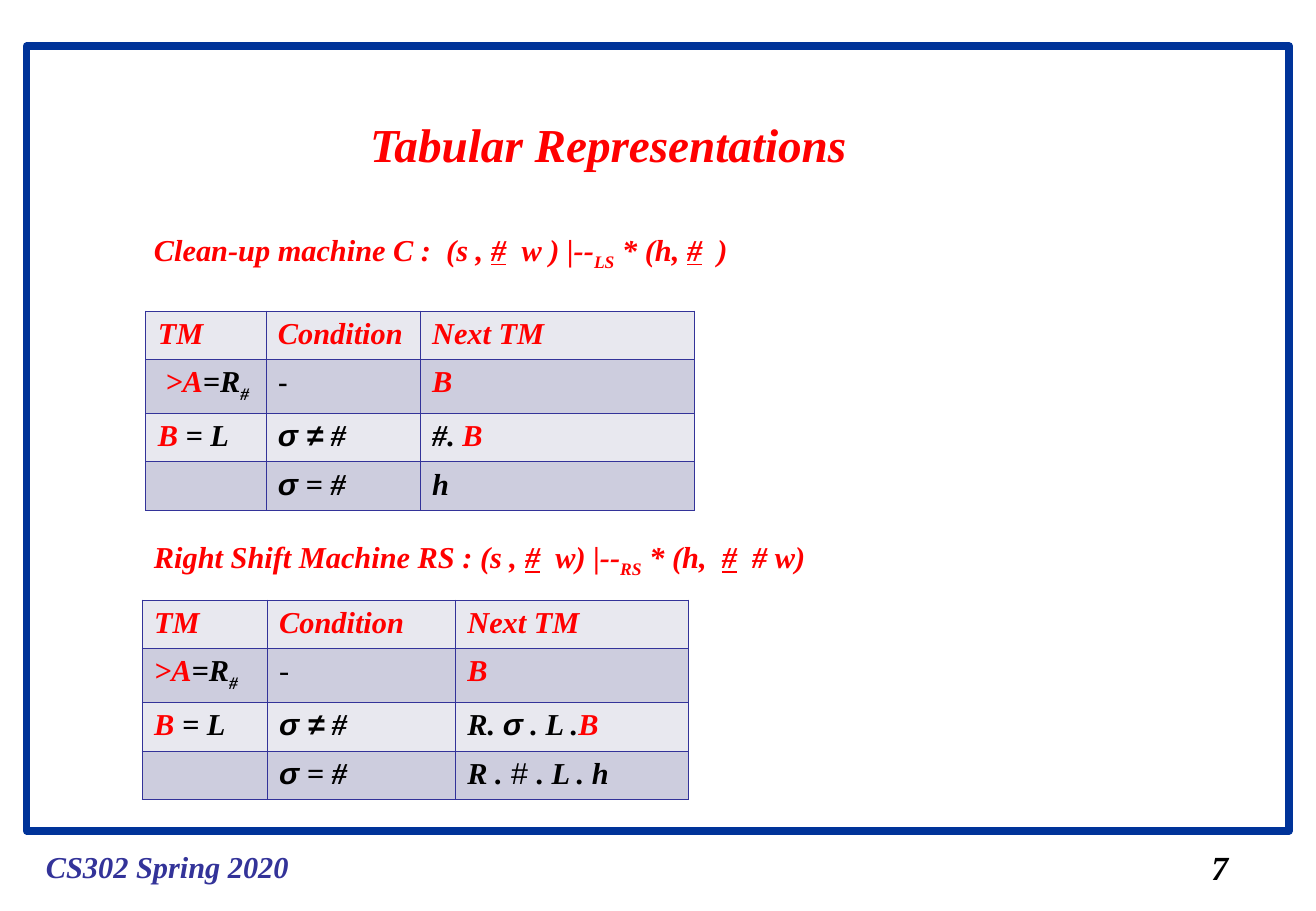
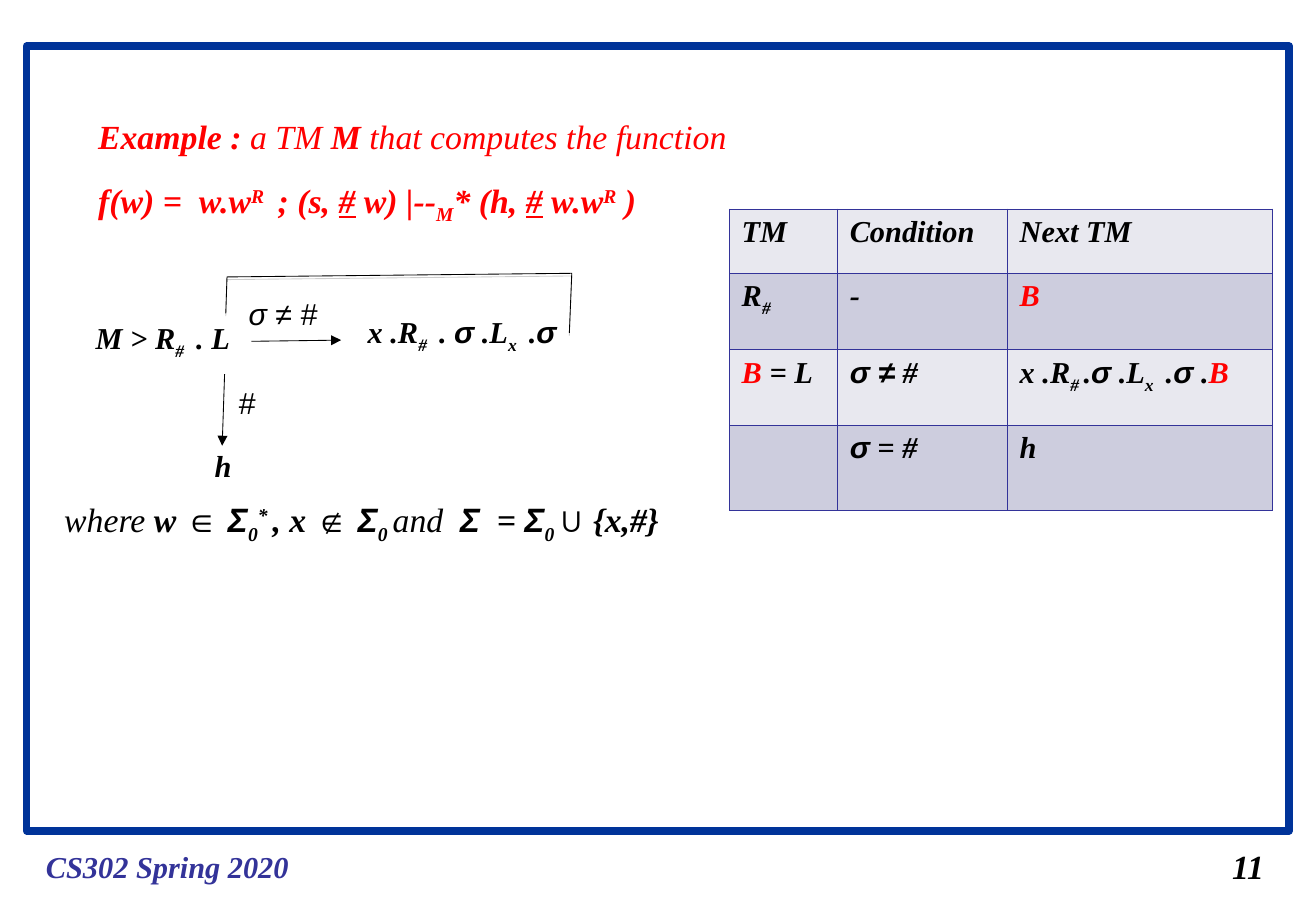
from dataclasses import dataclass

from lxml import etree
from pptx import Presentation
from pptx.dml.color import RGBColor
from pptx.enum.shapes import MSO_CONNECTOR, MSO_SHAPE
from pptx.enum.text import MSO_AUTO_SIZE
from pptx.oxml.ns import qn
from pptx.util import Inches, Pt

STRAIGHT = MSO_CONNECTOR.STRAIGHT
RECTANGLE = MSO_SHAPE.RECTANGLE
GROW = MSO_AUTO_SIZE.SHAPE_TO_FIT_TEXT


@dataclass(frozen=True)
class Theme:
    serif: str = "Times New Roman"
    sans: str = "Arial"
    black: str = "000000"
    red: str = "FF0000"
    frame: str = "003399"
    accent: str = "333399"
    bands: tuple = ("E8E8EF", "CDCDDE")
    shadow: str = "808080"
    title: int = 28
    lead: int = 20
    body: int = 18


THEME = Theme()

# Content. A run is plain text or (text, flags): r red, a sans, p not bold,
# n not italic, u underlined, _ subscript, ^ superscript.
FOOTER = "CS302 Spring 2020"
HEADER = ["TM", "Condition", "Next TM"]
SIGMA_NE = [("σ ≠", "a"), " #"]
SIGMA_EQ = [("σ", "a"), " = #"]
B_IS_L = [("B", "r"), " = L"]
TO_B = [("B", "r")]

CLEAN_UP = [
    ("Clean-up machine C :  (s , ", "r"), ("#", "ru"), ("  w ) |--", "r"),
    ("LS", "r_"), (" * (h, ", "r"), ("#", "ru"), ("  )", "r"),
]
RIGHT_SHIFT = [
    ("Right Shift Machine RS : (s , ", "r"), ("#", "ru"), ("  w) |--", "r"),
    ("RS", "r_"), (" * (h,  ", "r"), ("#", "ru"), ("  # w)", "r"),
]
CLEAN_UP_ROWS = [
    [[(" >A", "r"), "=R", ("#", "_")], [("-", "apn")], TO_B],
    [B_IS_L, SIGMA_NE, ["#. ", ("B", "r")]],
    [[], SIGMA_EQ, ["h"]],
]
RIGHT_SHIFT_ROWS = [
    [[(">A", "r"), "=R", ("#", "_")], [("-", "pn")], TO_B],
    [B_IS_L, SIGMA_NE, ["R. ", ("σ", "a"), " . L .", ("B", "r")]],
    [[], SIGMA_EQ, ["R .", (" # ", "apn"), ". L . h"]],
]
EXAMPLE = [
    [("Example : ", "r"), ("a TM ", "rp"), ("M", "r"),
     (" that computes the function", "rp")],
    [("f(w) =  w.w", "r"), ("R ", "r^"), (" ; (s, ", "r"), ("#", "ru"),
     (" w) |--", "r"), ("M", "r_"), ("* (h, ", "r"), ("#", "ru"),
     (" w.w", "r"), ("R", "r^"), (" )", "r")],
]
EXAMPLE_ROWS = [
    [["R", ("#", "_")], ["-"], TO_B],
    [B_IS_L, SIGMA_NE,
     ["x .R", ("# ", "_"), ".", ("σ", "a"), " .L", ("x ", "_"), " .",
      ("σ", "a"), " .", ("B", "r")]],
    [[], SIGMA_EQ, ["h"]],
]
WHERE = [
    ("where ", "p"), "w ", ("∈ Σ", "a"), ("0", "_"), ("* ", "^"), ", x ",
    ("∉ Σ", "a"), ("0 ", "_"), ("and  ", "p"), ("Σ", "a"), "  = ",
    ("Σ", "a"), ("0 ", "_"), ("∪ ", "a"), "{x,#}",
]
# Machine diagram: (left, top, width, height), runs
DIAGRAM_LABELS = [
    ((0.69, 2.58, 1.43, 0.44), ["M > R", ("# ", "_"), " . L"]),
    ((1.95, 2.38, 0.96, 0.4), [("σ ≠ #", "ap")]),
    ((2.93, 2.53, 1.79, 0.44),
     ["x .R", ("# ", "_"), " . ", ("σ", "a"), " .L", ("x ", "_"), " .",
      ("σ", "a")]),
    ((1.87, 3.11, 0.34, 0.4), [("#", "apn")]),
    ((1.67, 3.63, 0.35, 0.4), ["h"]),
]
DIAGRAM_ARROWS = [((2.07, 2.81), (2.81, 2.8)), ((1.85, 3.08), (1.83, 3.67))]
LOOP_BACK = [(4.69, 2.74), (4.71, 2.25), (1.87, 2.28), (1.86, 2.58)]


def rgb(value):
    return RGBColor.from_string(value)


def inches(values):
    return [Inches(v) for v in values]


def add_runs(p, runs, size, color=THEME.black):
    for run in runs:
        text, flags = (run, "") if isinstance(run, str) else run
        r = p.add_run()
        r.text = text
        font = r.font
        font.name = THEME.sans if "a" in flags else THEME.serif
        font.size = Pt(size)
        font.bold = "p" not in flags
        font.italic = "n" not in flags
        font.underline = "u" in flags
        font.color.rgb = rgb(THEME.red if "r" in flags else color)
        baseline = -25000 if "_" in flags else 30000 if "^" in flags else 0
        if baseline:
            r._r.get_or_add_rPr().set("baseline", str(baseline))


def add_text(s, box, paragraphs, size=THEME.body, color=THEME.black,
             wrap=False, spacing=1.0):
    tf = s.shapes.add_textbox(*inches(box)).text_frame
    tf.word_wrap = wrap
    tf.auto_size = GROW
    for i, runs in enumerate(paragraphs):
        p = tf.add_paragraph() if i else tf.paragraphs[0]
        p.line_spacing = spacing
        add_runs(p, runs, size, color)


def style_cell(cell, fill):
    cell.fill.solid()
    cell.fill.fore_color.rgb = rgb(fill)
    tc_pr = cell._tc.get_or_add_tcPr()
    for i, side in enumerate(("lnL", "lnR", "lnT", "lnB")):
        ln = etree.Element(qn(f"a:{side}"), w=str(Pt(0.45)))
        solid = etree.SubElement(ln, qn("a:solidFill"))
        etree.SubElement(solid, qn("a:srgbClr"), val=THEME.accent)
        tc_pr.insert(i, ln)


def add_tm_table(s, left, top, widths, heights, rows, header_flags=""):
    rows = [[[(name, header_flags)] for name in HEADER]] + rows
    table = s.shapes.add_table(
        len(rows), len(widths),
        *inches((left, top, sum(widths), sum(heights)))).table
    table.first_row = table.horz_banding = False
    for column, width in zip(table.columns, widths):
        column.width = Inches(width)
    for i, (row, height) in enumerate(zip(rows, heights)):
        table.rows[i].height = Inches(height)
        for j, runs in enumerate(row):
            cell = table.cell(i, j)
            style_cell(cell, THEME.bands[i % 2])
            add_runs(cell.text_frame.paragraphs[0], runs, THEME.body)


def add_arrow(s, start, end):
    line = s.shapes.add_connector(STRAIGHT, *inches(start + end))
    line.line.color.rgb = rgb(THEME.black)
    line.line.width = Pt(0.5)
    sp_pr = line._element.spPr
    etree.SubElement(sp_pr.find(qn("a:ln")), qn("a:tailEnd"), type="triangle")
    etree.SubElement(sp_pr, qn("a:effectLst"))


def add_loop(s, points):
    start, *rest = [inches(point) for point in points]
    builder = s.shapes.build_freeform(*start)
    builder.add_line_segments(rest, close=False)
    sp = builder.convert_to_shape()
    sp.fill.background()
    sp.line.color.rgb = rgb(THEME.black)
    sp.line.width = Pt(0.5)
    sp.shadow.inherit = False
    effects = sp._element.spPr.find(qn("a:effectLst"))
    shadow = etree.SubElement(effects, qn("a:outerShdw"), dist=str(Pt(1.6)),
                              dir="5400000", rotWithShape="0")
    tint = etree.SubElement(shadow, qn("a:srgbClr"), val=THEME.shadow)
    etree.SubElement(tint, qn("a:alpha"), val="38000")


def add_slide(prs, number, number_box):
    """Blank slide with the frame, course footer and page number."""
    s = prs.slides.add_slide(prs.slide_layouts[6])
    sp = s.shapes.add_shape(RECTANGLE, *inches((0.22, 0.38, 10.4, 6.46)))
    sp.shadow.inherit = False
    sp.fill.background()
    sp.line.color.rgb = rgb(THEME.frame)
    sp.line.width = Pt(4.5)
    add_text(s, (0.28, 6.93, 2.2, 0.4), [[FOOTER]], color=THEME.accent)
    add_text(s, number_box, [[number]], THEME.lead)
    return s


def build_tabular(prs):
    s = add_slide(prs, "7", (9.88, 6.92, 0.34, 0.44))
    add_text(s, (2.95, 0.9, 4.16, 0.57), [[("Tabular Representations", "r")]],
             THEME.title)
    heights = [0.4, 0.44, 0.4, 0.4]
    add_text(s, (1.17, 1.85, 5.35, 0.44), [CLEAN_UP], wrap=True)
    add_tm_table(s, 1.2, 2.56, [0.99, 1.27, 2.26], heights, CLEAN_UP_ROWS, "r")
    add_text(s, (1.17, 4.38, 5.99, 0.44), [RIGHT_SHIFT], wrap=True)
    add_tm_table(s, 1.17, 4.94, [1.03, 1.55, 1.92], heights,
                 RIGHT_SHIFT_ROWS, "r")


def build_example(prs):
    s = add_slide(prs, "11", (10.05, 6.91, 0.48, 0.44))
    add_text(s, (0.71, 0.74, 5.64, 1.17), EXAMPLE, THEME.lead, wrap=True,
             spacing=1.5)
    # Machine diagram
    for box, runs in DIAGRAM_LABELS:
        add_text(s, box, [runs])
    for start, end in DIAGRAM_ARROWS:
        add_arrow(s, start, end)
    add_loop(s, LOOP_BACK)
    # Alphabet condition and transition table
    add_text(s, (0.43, 4.06, 5.51, 0.48), [WHERE], THEME.lead)
    add_tm_table(s, 6.01, 1.72, [0.89, 1.4, 2.18], [0.53, 0.63, 0.62, 0.7],
                 EXAMPLE_ROWS)


def main():
    prs = Presentation()
    prs.slide_width, prs.slide_height = inches((10.84, 7.5))
    build_tabular(prs)
    build_example(prs)
    prs.save("out.pptx")


if __name__ == "__main__":
    main()
